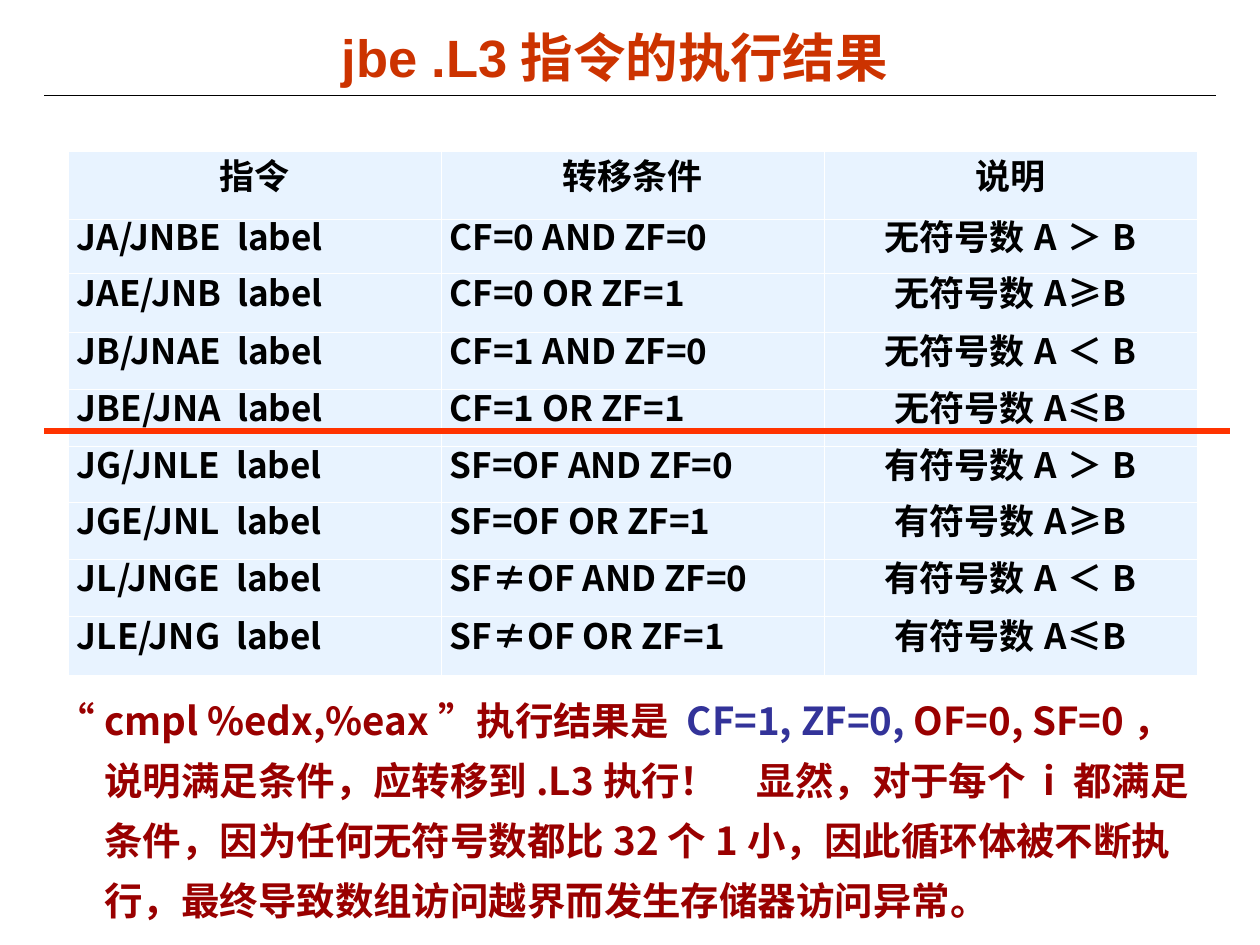
from pptx import Presentation
from pptx.dml.color import RGBColor
from pptx.enum.shapes import MSO_CONNECTOR, MSO_SHAPE
from pptx.enum.text import MSO_ANCHOR, PP_ALIGN
from pptx.oxml.ns import qn
from pptx.util import Inches, Pt
from lxml.etree import SubElement

CJK = "Noto Sans CJK SC"
ROW_HEIGHTS = [0.54, 0.43, 0.47] + [0.45] * 5 + [0.47]
COLUMN_WIDTHS = [2.96, 3.04, 2.96]
HEADINGS = ["指令", "转移条件", "说明"]
JUMPS = [
    ("JA/JNBE", "CF=0 AND ZF=0", "无符号数A＞B"),
    ("JAE/JNB", "CF=0 OR ZF=1", "无符号数A≥B"),
    ("JB/JNAE", "CF=1 AND ZF=0", "无符号数A＜B"),
    ("JBE/JNA", "CF=1 OR ZF=1", "无符号数A≤B"),
    ("JG/JNLE", "SF=OF AND ZF=0", "有符号数A＞B"),
    ("JGE/JNL", "SF=OF OR ZF=1", "有符号数A≥B"),
    ("JL/JNGE", "SF≠OF AND ZF=0", "有符号数A＜B"),
    ("JLE/JNG", "SF≠OF OR ZF=1", "有符号数A≤B"),
]
EXPLANATION = [
    ("“cmpl %edx,%eax”执行结果是 ", "990000"),
    ("CF=1, ZF=0, ", "333399"),
    ("OF=0, SF=0，说明满足条件，应转移到.L3执行！　显然，对于每个 i 都满足条件，"
     "因为任何无符号数都比32个1小，因此循环体被不断执行，"
     "最终导致数组访问越界而发生存储器访问异常。", "990000"),
]


def color(value):
    return RGBColor.from_string(value)


def set_all(target, values):
    for name, value in values.items():
        setattr(target, name, value)


def add_run(paragraph, text, size, ink, latin=CJK):
    run = paragraph.add_run()
    run.text = text
    set_all(run.font, {"size": Pt(size), "bold": True, "name": latin})
    run.font.color.rgb = color(ink)
    # East Asian glyphs take their own typeface
    SubElement(run.font._element, qn("a:ea"), typeface=CJK)


def add_rule(slide, left, right, y, ink, width):
    rule = slide.shapes.add_connector(
        MSO_CONNECTOR.STRAIGHT, Inches(left), Inches(y), Inches(right), Inches(y))
    rule.line.color.rgb = color(ink)
    rule.line.width = Pt(width)
    SubElement(rule._element.spPr, qn("a:effectLst"))


def add_title(slide):
    title = slide.shapes.title
    set_all(title, {"left": Inches(1.8), "top": Inches(0.16),
                    "width": Inches(6.16), "height": Inches(0.58)})
    title.text_frame.vertical_anchor = MSO_ANCHOR.MIDDLE
    paragraph = title.text_frame.paragraphs[0]
    paragraph.alignment = PP_ALIGN.CENTER
    add_run(paragraph, "jbe .L3指令的执行结果", 30, "CC3300", "Arial")


def add_borders(cell):
    properties = cell._tc.get_or_add_tcPr()
    for index, side in enumerate(("lnL", "lnR", "lnT", "lnB")):
        line = SubElement(properties, qn(f"a:{side}"), w=str(Pt(0.45)))
        fill = SubElement(line, qn("a:solidFill"))
        SubElement(fill, qn("a:srgbClr"), val="FFFFFF")
        properties.insert(index, line)  # borders precede the fill


def fill_cell(cell, text, alignment):
    set_all(cell, {"margin_left": Inches(0.07), "margin_right": Inches(0.07),
                   "margin_top": Inches(0.05), "margin_bottom": Inches(0.05),
                   "vertical_anchor": MSO_ANCHOR.MIDDLE})
    cell.fill.solid()
    cell.fill.fore_color.rgb = color("E8F3FF")
    add_borders(cell)
    paragraph = cell.text_frame.paragraphs[0]
    set_all(paragraph, {"alignment": alignment, "line_spacing": Pt(16)})
    add_run(paragraph, text, 20, "000000")


def add_jump_table(slide):
    rows = [HEADINGS] + [(f"{jump}  label", condition, meaning)
                         for jump, condition, meaning in JUMPS]
    table = slide.shapes.add_table(
        len(rows), len(HEADINGS), Inches(0.54), Inches(1.2),
        Inches(sum(COLUMN_WIDTHS)), Inches(sum(ROW_HEIGHTS))).table
    for column, width in zip(table.columns, COLUMN_WIDTHS):
        column.width = Inches(width)
    for row, height in zip(table.rows, ROW_HEIGHTS):
        row.height = Inches(height)
    for r, texts in enumerate(rows):
        for c, text in enumerate(texts):
            centred = r == 0 or c == 2
            fill_cell(table.cell(r, c), text,
                      PP_ALIGN.CENTER if centred else PP_ALIGN.JUSTIFY)


def add_explanation(slide):
    panel = slide.shapes.add_shape(
        MSO_SHAPE.RECTANGLE, Inches(0.38), Inches(5.39), Inches(9.24), Inches(1.96))
    panel.shadow.inherit = False
    panel.fill.solid()
    panel.fill.fore_color.rgb = color("FFFFFF")
    panel.line.fill.background()
    frame = panel.text_frame
    set_all(frame, {"margin_left": Inches(0.07), "margin_right": Inches(0.07),
                    "margin_top": Inches(0.03), "margin_bottom": Inches(0.03),
                    "vertical_anchor": MSO_ANCHOR.TOP, "word_wrap": True})
    paragraph = frame.paragraphs[0]
    set_all(paragraph, {"alignment": PP_ALIGN.LEFT, "line_spacing": 1.3})
    # Hanging indent
    indents = paragraph._p.get_or_add_pPr()
    indents.set("marL", str(Inches(0.38)))
    indents.set("indent", str(Inches(-0.38)))
    for text, ink in EXPLANATION:
        add_run(paragraph, text, 22, ink)


def main():
    presentation = Presentation()
    set_all(presentation, {"slide_width": Inches(10), "slide_height": Inches(7.5)})
    slide = presentation.slides.add_slide(presentation.slide_layouts[5])
    add_rule(slide, 0.35, 9.65, 0.76, "000000", 0.75)
    add_title(slide)
    add_jump_table(slide)
    # Divides unsigned from signed jumps
    add_rule(slide, 0.35, 9.76, 3.42, "FF3300", 3)
    add_explanation(slide)
    presentation.save("out.pptx")


if __name__ == "__main__":
    main()
